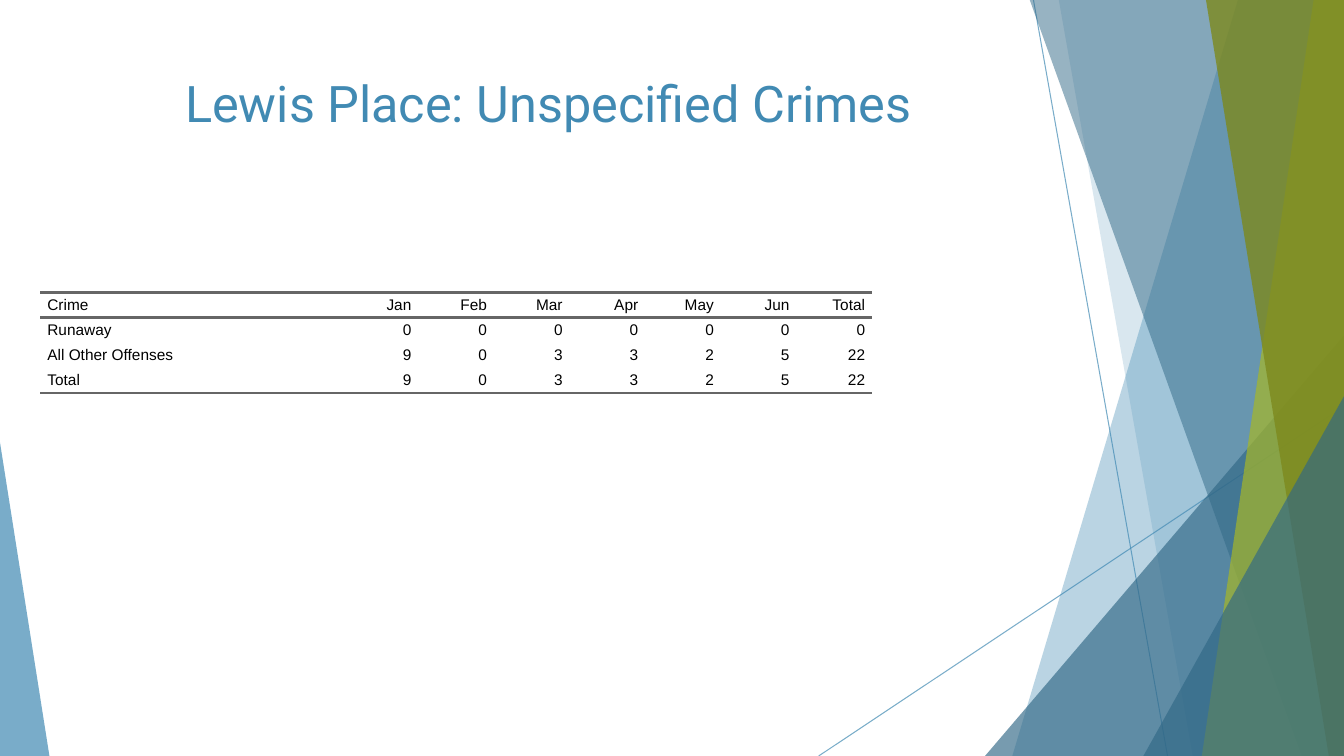
from lxml import etree
from pptx import Presentation
from pptx.dml.color import RGBColor
from pptx.enum.shapes import MSO_CONNECTOR, MSO_SHAPE
from pptx.enum.text import MSO_ANCHOR, PP_ALIGN
from pptx.oxml.ns import qn
from pptx.util import Inches, Pt

STRAIGHT = MSO_CONNECTOR.STRAIGHT
TRIANGLE = MSO_SHAPE.ISOSCELES_TRIANGLE
MIDDLE, TOP = MSO_ANCHOR.MIDDLE, MSO_ANCHOR.TOP
LEFT, CENTER, RIGHT = PP_ALIGN.LEFT, PP_ALIGN.CENTER, PP_ALIGN.RIGHT

WIDTH, HEIGHT = 13.33, 7.5
BLUE, DEEP_BLUE, LIME, OLIVE = "418AB3", "316886", "A6B727", "7D891D"
BLACK, RULE_GREY = "000000", "666666"
NO_STYLE_NO_GRID = "{2D5ABB26-0587-4C30-8999-92F81FD0307C}"

CRIMES = [
    ["Crime", "Jan", "Feb", "Mar", "Apr", "May", "Jun", "Total"],
    ["Runaway", "0", "0", "0", "0", "0", "0", "0"],
    ["All Other Offenses", "9", "0", "3", "3", "2", "5", "22"],
    ["Total", "9", "0", "3", "3", "2", "5", "22"],
]
RULED_EDGES = {0: ["a:lnT", "a:lnB"], len(CRIMES) - 1: ["a:lnB"]}


def rgb(color):
    """Turn a hex string into a colour."""
    return RGBColor.from_string(color)


def paint(fill, color, opacity):
    """Give a fill a solid colour with an opacity in percent."""
    fill.solid()
    fill.fore_color.rgb = rgb(color)
    tint = fill._xPr.find(qn("a:solidFill"))[0]
    etree.SubElement(tint, qn("a:alpha"), val=str(opacity * 1000))


def finish(facet, color, opacity):
    """Fill a facet and remove its outline and shadow."""
    paint(facet.fill, color, opacity)
    facet.line.fill.background()
    facet.shadow.inherit = False


def add_ray(slide, start, end):
    """Draw a thin translucent line."""
    ray = slide.shapes.add_connector(STRAIGHT, *map(Inches, start + end))
    ray.line.width = Pt(0.75)
    paint(ray.line.fill, BLUE, 70)
    etree.SubElement(ray._element.spPr, qn("a:effectLst"))


def add_blade(slide, top_x, bottom_x, color, opacity):
    """Draw a facet from a slanted left side to the right slide edge."""
    corners = [(WIDTH, -0.01), (WIDTH, HEIGHT), (bottom_x, HEIGHT)]
    builder = slide.shapes.build_freeform(Inches(top_x), Inches(-0.01))
    builder.add_line_segments([(Inches(x), Inches(y)) for x, y in corners])
    finish(builder.convert_to_shape(), color, opacity)


def add_corner(slide, left, top, width, apex, color, opacity):
    """Draw a right triangle standing on the bottom slide edge."""
    box = map(Inches, (left, top, width, HEIGHT - top))
    corner = slide.shapes.add_shape(TRIANGLE, *box)
    corner.adjustments[0] = apex
    finish(corner, color, opacity)


def write(paragraph, text, font, size, color, align):
    """Add one formatted run to a paragraph."""
    paragraph.alignment = align
    run = paragraph.add_run()
    run.text = text
    run.font.name = font
    run.font.size = Pt(size)
    run.font.color.rgb = rgb(color)


def add_title(slide, text):
    """Place the centred slide title."""
    title = slide.shapes.add_textbox(*map(Inches, (0.74, 0.67, 9.4, 1.44)))
    frame = title.text_frame
    frame.word_wrap = True
    frame.vertical_anchor = TOP
    write(frame.paragraphs[0], text, "Roboto", 36, BLUE, CENTER)


def rule_cell(cell, edge):
    """Draw a grey border along one edge of a cell."""
    border = etree.SubElement(cell._tc.get_or_add_tcPr(), qn(edge), w=str(Pt(2)))
    solid = etree.SubElement(border, qn("a:solidFill"))
    etree.SubElement(solid, qn("a:srgbClr"), val=RULE_GREY)


def fill_cell(cell, text, align, edges):
    """Write and format one table cell."""
    cell.vertical_anchor = MIDDLE
    cell.margin_left = cell.margin_right = Inches(0.07)
    cell.margin_top = cell.margin_bottom = 0
    paragraph = cell.text_frame.paragraphs[0]
    paragraph.space_before = paragraph.space_after = Pt(5)
    write(paragraph, text, "Arial", 11, BLACK, align)
    for edge in edges:
        rule_cell(cell, edge)
    cell.fill.background()


def add_crime_table(slide, left, top, name_width, count_width, row_height):
    """Build the table of crimes by month."""
    rows, cols = len(CRIMES), len(CRIMES[0])
    width = name_width + count_width * (cols - 1)
    box = map(Inches, (left, top, width, row_height * rows))
    table = slide.shapes.add_table(rows, cols, *box).table
    table.first_row = table.horz_banding = False
    table._tbl.tblPr.find(qn("a:tableStyleId")).text = NO_STYLE_NO_GRID
    for c, column in enumerate(table.columns):
        column.width = Inches(count_width if c else name_width)
    for r, values in enumerate(CRIMES):
        table.rows[r].height = Inches(row_height)
        for c, value in enumerate(values):
            fill_cell(table.cell(r, c), value, RIGHT if c else LEFT, RULED_EDGES.get(r, []))


def add_backdrop(slide):
    """Draw the faceted decoration from back to front."""
    add_ray(slide, (10.25, 0), (11.58, HEIGHT))
    add_ray(slide, (WIDTH, 4.03), (8.12, HEIGHT))
    add_blade(slide, 12.28, 10.04, BLUE, 36)
    add_blade(slide, 10.5, 11.83, BLUE, 20)
    add_corner(slide, 9.77, 3.33, 3.56, 1, DEEP_BLUE, 66)
    add_blade(slide, 10.21, 12.91, DEEP_BLUE, 50)
    add_blade(slide, 13.03, 11.92, LIME, 70)
    add_blade(slide, 11.96, 13.18, OLIVE, 80)
    add_corner(slide, 11.34, 3.93, 1.99, 1, DEEP_BLUE, 66)
    add_corner(slide, 0, 4.39, 0.49, 0, BLUE, 70)


def main():
    """Build and save the slide."""
    deck = Presentation()
    deck.slide_width, deck.slide_height = Inches(WIDTH), Inches(HEIGHT)
    slide = deck.slides.add_slide(deck.slide_layouts[6])
    add_backdrop(slide)
    add_crime_table(slide, 0.4, 2.9, 3, 0.75, 0.25)
    add_title(slide, "Lewis Place: Unspecified Crimes")
    deck.save("out.pptx")


if __name__ == "__main__":
    main()
